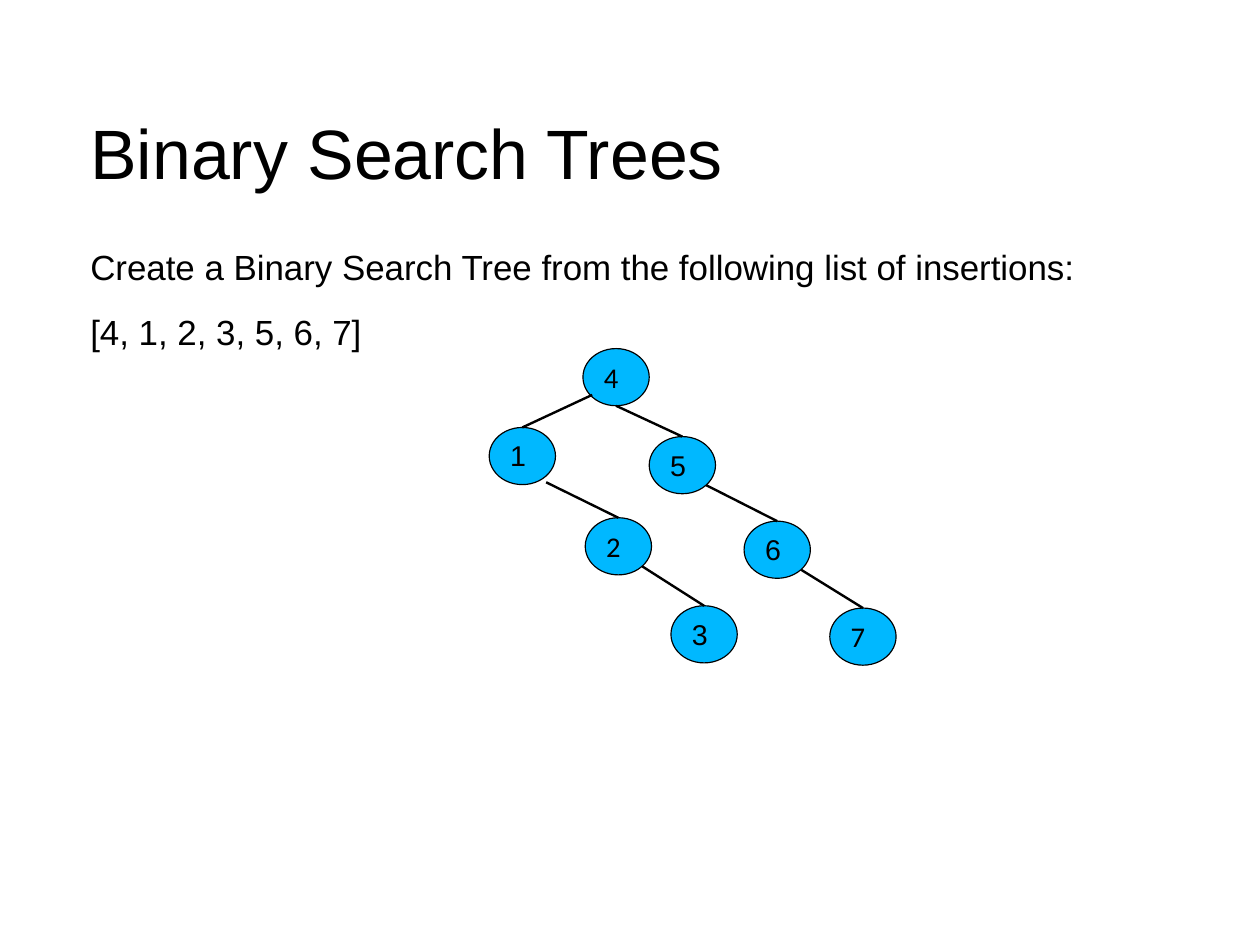
from lxml import etree
from pptx import Presentation
from pptx.dml.color import RGBColor
from pptx.enum.shapes import MSO_CONNECTOR, MSO_SHAPE
from pptx.enum.text import MSO_ANCHOR, MSO_AUTO_SIZE, PP_ALIGN
from pptx.oxml.ns import qn
from pptx.util import Inches, Pt

ELLIPSE = MSO_SHAPE.OVAL
STRAIGHT = MSO_CONNECTOR.STRAIGHT
TOP = MSO_ANCHOR.TOP
MIDDLE = MSO_ANCHOR.MIDDLE
NO_AUTOFIT = MSO_AUTO_SIZE.NONE
LEFT = PP_ALIGN.LEFT

CENTIMETRES_PER_INCH = 2.54
SLIDE_WIDTH = 28 / CENTIMETRES_PER_INCH
SLIDE_HEIGHT = 21 / CENTIMETRES_PER_INCH

BLACK = "000000"
NODE_BLUE = "00B8FF"
NODE_WIDTH, NODE_HEIGHT = 0.58, 0.5

NODES = {
    "4": (0.82, 0, "Calibri"),
    "1": (0, 0.69, "Arial"),
    "2": (0.84, 1.48, "Calibri"),
    "3": (1.59, 2.25, "Arial"),
    "5": (1.4, 0.77, "Arial"),
    "6": (2.23, 1.51, "Arial"),
    "7": (2.98, 2.27, "Calibri"),
}
LOWER_LEFT, BOTTOM, LOWER_RIGHT = (0.14, 0.81), (0.5, 1), (0.86, 0.85)
EDGES = [
    ("4", "1", LOWER_LEFT),
    ("4", "5", BOTTOM),
    ("1", "2", (0.86, 0.96)),
    ("2", "3", LOWER_RIGHT),
    ("5", "6", LOWER_RIGHT),
    ("6", "7", LOWER_RIGHT),
]


def color(value):
    return RGBColor.from_string(value)


def format_font(paragraph, name, size):
    paragraph.font.name = name
    paragraph.font.size = Pt(size)
    paragraph.font.color.rgb = color(BLACK)


def fill_placeholder(placeholder, box, lines, size, anchor, top_inset, space_after):
    placeholder.left, placeholder.top, placeholder.width, placeholder.height = map(Inches, box)
    frame = placeholder.text_frame
    frame.text = "\n".join(lines)
    frame.word_wrap = True
    frame.auto_size = NO_AUTOFIT
    frame.vertical_anchor = anchor
    frame.margin_left = frame.margin_right = frame.margin_bottom = 0
    frame.margin_top = Inches(top_inset)
    for paragraph in frame.paragraphs:
        properties = paragraph._p.get_or_add_pPr()
        properties.set("marL", "0")
        properties.set("indent", "0")
        etree.SubElement(properties, qn("a:buNone"))
        paragraph.alignment = LEFT
        paragraph.space_before = Pt(0)
        paragraph.space_after = Pt(space_after)
        format_font(paragraph, "Arial", size)


def add_node(shapes, left, top, key, font_name):
    node = shapes.add_shape(
        ELLIPSE, Inches(left), Inches(top), Inches(NODE_WIDTH), Inches(NODE_HEIGHT)
    )
    node.shadow.inherit = False
    node.fill.solid()
    node.fill.fore_color.rgb = color(NODE_BLUE)
    node.line.color.rgb = color(BLACK)
    node.line.width = Pt(0.75)
    frame = node.text_frame
    frame.text = key
    frame.vertical_anchor = TOP
    paragraph = frame.paragraphs[0]
    paragraph.alignment = LEFT
    paragraph.line_spacing = 0.93
    format_font(paragraph, font_name, 18)


def add_edge(shapes, start, end):
    edge = shapes.add_connector(STRAIGHT, *map(Inches, start + end))
    edge.line.color.rgb = color(BLACK)
    edge.line.width = Pt(1.5)
    etree.SubElement(edge._element.spPr, qn("a:effectLst"))


def add_tree(slide, left, top):
    shapes = slide.shapes.add_group_shape().shapes
    for key, (x, y, font_name) in NODES.items():
        add_node(shapes, left + x, top + y, key, font_name)
    for parent, child, (across, down) in EDGES:
        parent_x, parent_y, _ = NODES[parent]
        child_x, child_y, _ = NODES[child]
        start = (left + parent_x + across * NODE_WIDTH, top + parent_y + down * NODE_HEIGHT)
        end = (left + child_x + NODE_WIDTH / 2, top + child_y)
        add_edge(shapes, start, end)


def main():
    presentation = Presentation()
    presentation.slide_width = Inches(SLIDE_WIDTH)
    presentation.slide_height = Inches(SLIDE_HEIGHT)
    slide = presentation.slides.add_slide(presentation.slide_layouts[1])
    fill_placeholder(
        slide.shapes.title, (0.79, 0.62, 9.25, 1.37),
        ["Binary Search Trees"], 44, MIDDLE, 0.04, 0,
    )
    fill_placeholder(
        slide.placeholders[1], (0.79, 2.13, 9.68, 5.26),
        ["Create a Binary Search Tree from the following list of insertions:",
         "[4, 1, 2, 3, 5, 6, 7]"], 22, TOP, 0.02, 14.2,
    )
    add_tree(slide, 4.28, 3.05)
    presentation.save("out.pptx")


if __name__ == "__main__":
    main()
